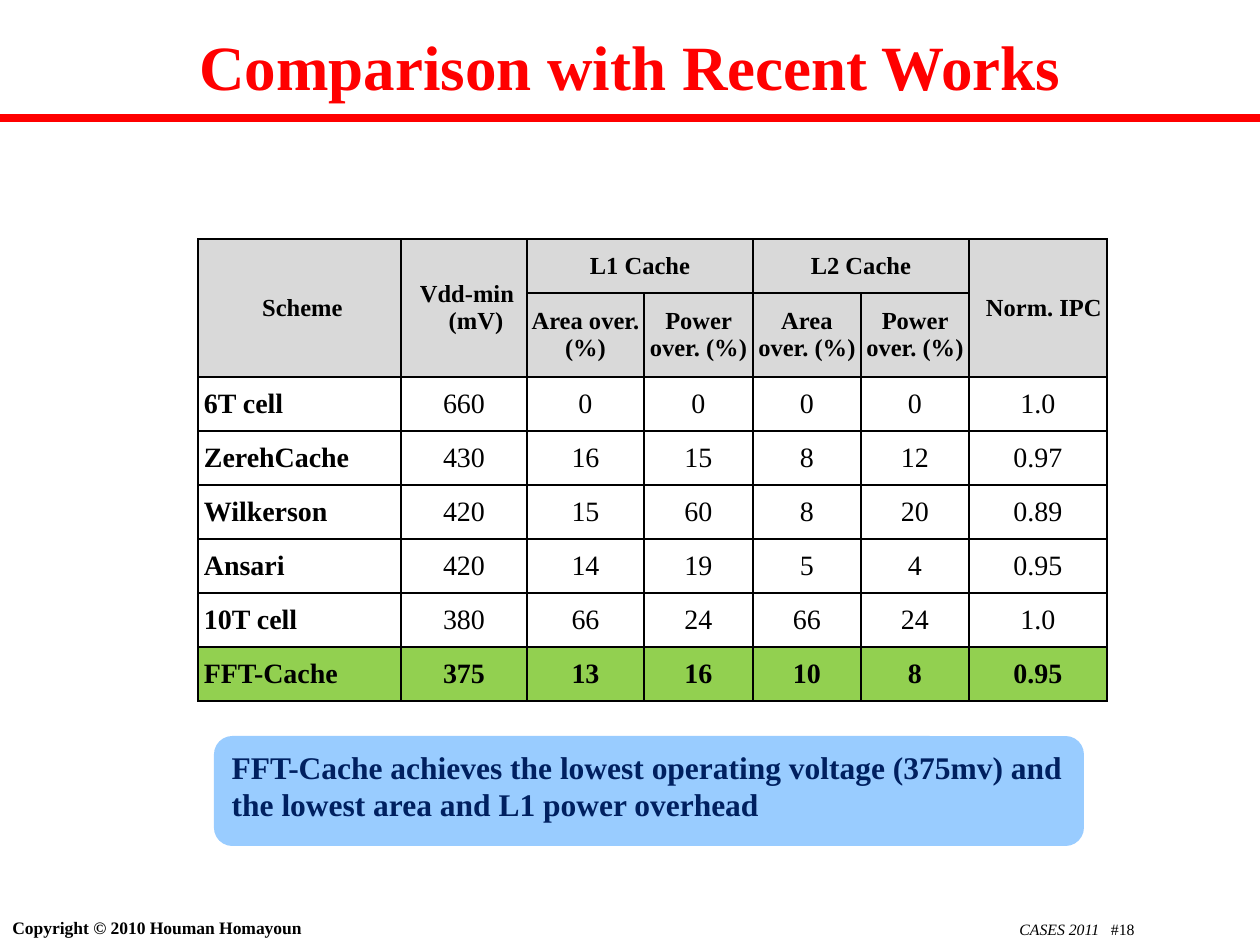
from dataclasses import dataclass

from lxml.etree import SubElement
from pptx import Presentation
from pptx.dml.color import RGBColor
from pptx.enum.shapes import MSO_CONNECTOR as Connector, MSO_SHAPE as Shape
from pptx.enum.text import MSO_ANCHOR as Anchor, PP_ALIGN as Align
from pptx.oxml.ns import qn
from pptx.util import Emu, Pt

PX_PER_INCH = 126
FONT = "Times New Roman"
BLACK, RED, NAVY = "000000", "FF0000", "002060"
GREY, GREEN, SKY = "D9D9D9", "92D050", "99CCFF"

COLUMN_WIDTHS = [203, 126, 117, 109, 108, 108, 138]
ROW_HEIGHTS = [54, 84] + [54] * 6
RESULTS = [
    ["6T cell", "660", "0", "0", "0", "0", "1.0"],
    ["ZerehCache", "430", "16", "15", "8", "12", "0.97"],
    ["Wilkerson", "420", "15", "60", "8", "20", "0.89"],
    ["Ansari", "420", "14", "19", "5", "4", "0.95"],
    ["10T cell", "380", "66", "24", "66", "24", "1.0"],
    ["FFT-Cache", "375", "13", "16", "10", "8", "0.95"],
]


@dataclass
class HeaderCell:
    row: int
    column: int
    lines: list[str]
    row_span: int = 1
    column_span: int = 1
    indents: tuple[int, ...] = (0, 0)


HEADER = [
    HeaderCell(0, 0, ["Scheme"], row_span=2, indents=(6,)),
    HeaderCell(0, 1, ["Vdd-min", "(mV)"], row_span=2, indents=(6, 24)),
    HeaderCell(0, 2, ["L1 Cache"], column_span=2),
    HeaderCell(0, 4, ["L2 Cache"], column_span=2),
    HeaderCell(0, 6, ["Norm. IPC"], row_span=2, indents=(12,)),
] + [
    HeaderCell(1, column, [f"{kind} over. (%)"])
    for column, kind in enumerate(["Area", "Power"] * 2, start=2)
]


def px(length: int) -> Emu:
    return Emu(round(length * 914400 / PX_PER_INCH))


def rgb(colour: str) -> RGBColor:
    return RGBColor.from_string(colour)


def set_all(target, values: dict) -> None:
    for name, value in values.items():
        setattr(target, name, value)


def add_run(paragraph, text: str, size: int, colour: str = BLACK, **style):
    run = paragraph.add_run()
    run.text = text
    set_all(run.font, {"name": FONT, "size": Pt(size), **style})
    run.font.color.rgb = rgb(colour)
    return run


def write_lines(frame, lines: list[str], size: int, colour: str = BLACK,
                align=Align.LEFT, bold: bool = True) -> None:
    """Write each line as one paragraph of a single style."""
    for index, line in enumerate(lines):
        paragraph = frame.add_paragraph() if index else frame.paragraphs[0]
        paragraph.alignment = align
        add_run(paragraph, line, size, colour, bold=bold)


def add_title(slide) -> None:
    title = slide.shapes.title
    set_all(title, {"left": 0, "top": 0, "width": px(1260), "height": px(130)})
    title.text_frame.vertical_anchor = Anchor.MIDDLE
    write_lines(title.text_frame, ["Comparison with Recent Works"], 36, RED, Align.CENTER)


def add_title_rule(slide) -> None:
    rule = slide.shapes.add_connector(Connector.STRAIGHT, 0, px(118), px(1260), px(118))
    rule.line.color.rgb = rgb(RED)
    rule.line.width = Pt(4.5)
    SubElement(rule._element.spPr, qn("a:effectLst"))


def add_footers(slide) -> None:
    copyright_box = slide.shapes.add_textbox(0, px(911), px(354), px(34))
    copyright_box.text_frame.word_wrap = True
    write_lines(copyright_box.text_frame, ["Copyright © 2010 Houman Homayoun"], 10)

    event_box = slide.shapes.add_textbox(px(834), px(914), px(313), px(31))
    event_box.text_frame.word_wrap = True
    paragraph = event_box.text_frame.paragraphs[0]
    paragraph.alignment = Align.RIGHT
    add_run(paragraph, "CASES 2011", 9, italic=True)
    gap = add_run(paragraph, " ", 9)
    gap._r.get_or_add_rPr().set("spc", "450")
    add_run(paragraph, "#18", 9)


def format_cell(cell, fill: str | None, side_margin: int) -> None:
    """Set the margins, the 1 pt black borders and the fill of a cell."""
    set_all(cell, {
        "vertical_anchor": Anchor.MIDDLE,
        "margin_left": px(side_margin), "margin_right": px(side_margin),
        "margin_top": 0, "margin_bottom": 0,
    })
    properties = cell._tc.get_or_add_tcPr()
    for side in ("lnL", "lnR", "lnT", "lnB"):
        border = SubElement(properties, qn(f"a:{side}"), w=str(Pt(1)))
        SubElement(SubElement(border, qn("a:solidFill")), qn("a:srgbClr"), val=BLACK)
    if fill:
        cell.fill.solid()
        cell.fill.fore_color.rgb = rgb(fill)
    else:
        cell.fill.background()


def write_header_cell(table, header: HeaderCell) -> None:
    cell = table.cell(header.row, header.column)
    if header.row_span > 1 or header.column_span > 1:
        cell.merge(table.cell(header.row + header.row_span - 1,
                              header.column + header.column_span - 1))
    write_lines(cell.text_frame, header.lines, 14, align=Align.CENTER)
    for paragraph, indent in zip(cell.text_frame.paragraphs, header.indents):
        paragraph._p.get_or_add_pPr().set("marL", str(px(indent)))


def add_comparison_table(slide) -> None:
    table = slide.shapes.add_table(
        len(ROW_HEIGHTS), len(COLUMN_WIDTHS), px(198), px(239),
        px(sum(COLUMN_WIDTHS)), px(sum(ROW_HEIGHTS))).table
    set_all(table, {"first_row": False, "horz_banding": False})
    for column, width in zip(table.columns, COLUMN_WIDTHS):
        column.width = px(width)
    for row, height in zip(table.rows, ROW_HEIGHTS):
        row.height = px(height)

    for row in range(2):
        for column in range(len(COLUMN_WIDTHS)):
            format_cell(table.cell(row, column), GREY, 1)
    for header in HEADER:
        write_header_cell(table, header)

    for row, values in enumerate(RESULTS, start=2):
        is_best = values is RESULTS[-1]
        for column, value in enumerate(values):
            is_label = column == 0
            cell = table.cell(row, column)
            format_cell(cell, GREEN if is_best else None, 6)
            write_lines(cell.text_frame, [value], 16, bold=is_label or is_best,
                        align=Align.LEFT if is_label else Align.CENTER)


def add_conclusion(slide) -> None:
    box = slide.shapes.add_shape(Shape.ROUNDED_RECTANGLE, px(214), px(736), px(870), px(110))
    box.shadow.inherit = False
    box.fill.solid()
    box.fill.fore_color.rgb = rgb(SKY)
    box.line.fill.background()
    set_all(box.text_frame, {"word_wrap": False, "vertical_anchor": Anchor.TOP})
    write_lines(box.text_frame, [
        "FFT-Cache achieves the lowest operating voltage (375mv) and",
        "the lowest area and L1 power overhead",
    ], 18, NAVY)


def main() -> None:
    presentation = Presentation()
    presentation.slide_width, presentation.slide_height = px(1260), px(945)
    slide = presentation.slides.add_slide(presentation.slide_layouts[5])
    add_title_rule(slide)
    add_title(slide)
    add_footers(slide)
    add_comparison_table(slide)
    add_conclusion(slide)
    presentation.save("out.pptx")


if __name__ == "__main__":
    main()
